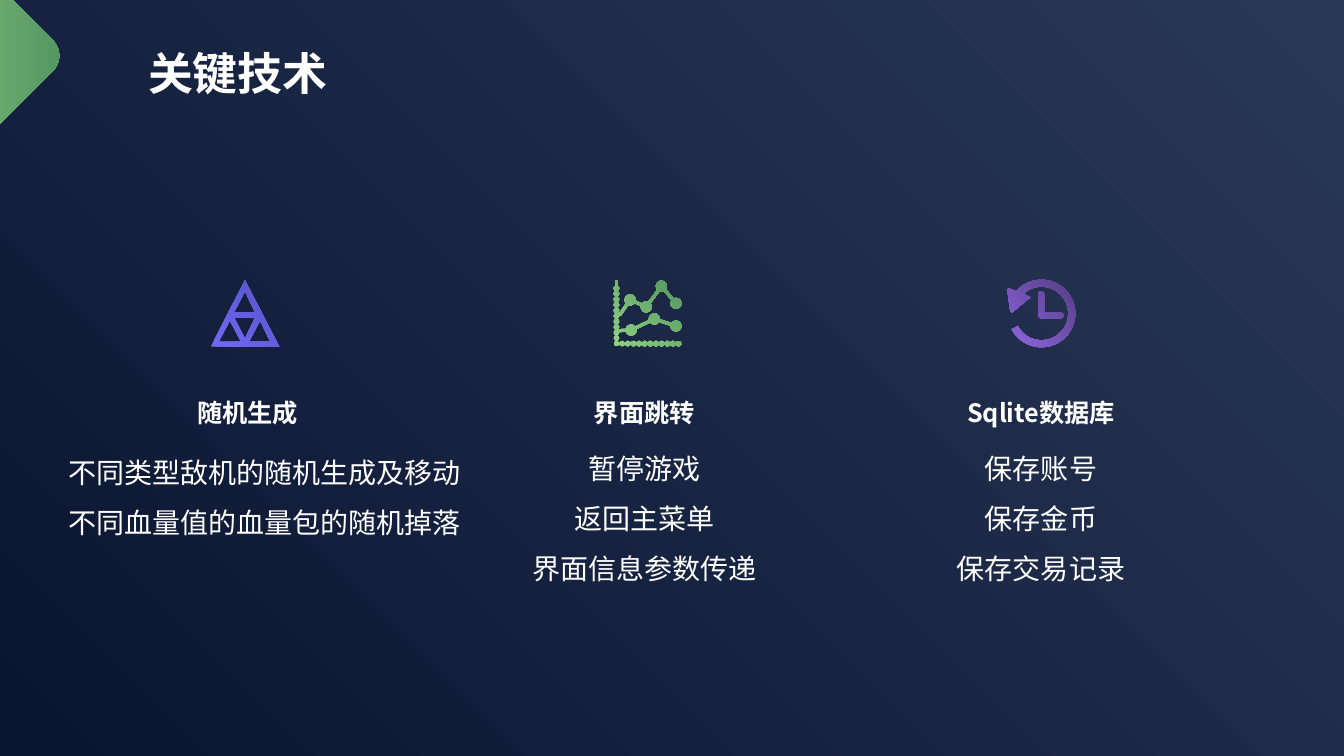
from math import asin, atan2, cos, pi, radians, sin

from lxml import etree
from pptx import Presentation
from pptx import util as u
from pptx.dml.color import RGBColor
from pptx.enum import shapes, text
from pptx.oxml import ns

COLUMNS, ROWS = 1333, 750
CELL = u.Inches(0.01)
FONT = "Noto Sans CJK SC"
WHITE = RGBColor(0xFF, 0xFF, 0xFF)
NIGHT = RGBColor(0x0A, 0x15, 0x30), RGBColor(0x2A, 0x38, 0x58)
GREEN = RGBColor(0x91, 0xD1, 0x83), RGBColor(0x52, 0x95, 0x61)
INDIGO = RGBColor(0x72, 0x6A, 0xF6), RGBColor(0x57, 0x51, 0xC2)
PURPLE = RGBColor(0x8F, 0x66, 0xE0), RGBColor(0x55, 0x3D, 0x83)


def arc(center, radius, start, end, steps=12):
    """Points on a circle, from one angle in radians to another."""
    angles = [start + (end - start) * i / steps for i in range(steps + 1)]
    return [(center[0] + radius * cos(a), center[1] + radius * sin(a)) for a in angles]


def beaded_line(start, beads, radius, half_width):
    """Outline of a thick line from a round cap through a row of round beads."""
    nodes = [start, *beads]
    last = len(beads)
    walk = [*range(last + 1), *range(last - 1, 0, -1)]
    outline = []
    for i, node in enumerate(walk):
        x, y = nodes[node]
        before, after = (nodes[walk[(i + step) % len(walk)]] for step in (-1, 1))
        size = radius if node else half_width
        gap = asin(half_width / size)
        begin = atan2(before[1] - y, before[0] - x) + gap
        sweep = (atan2(after[1] - y, after[0] - x) - gap - begin) % (2 * pi)
        outline += arc((x, y), size, begin, begin + sweep)
    return outline


def triangle_icon():
    return [
        [(34, 0), (0, 66), (68, 66)],
        [(34, 11), (44, 32), (23, 32)],
        [(23, 37), (44, 37), (34, 58)],
        [(8, 61), (19, 40), (30, 61)],
        [(49, 40), (59, 61), (38, 61)],
    ]


def chart_icon():
    up = [(3.4, 63 - 5.5 * i) for i in range(10, -1, -1)]
    right = [(3.4 + 5.6 * i, 63) for i in range(1, 12)]
    return [
        beaded_line((3.4, 1.5), up + right, 2.7, 1.3),
        beaded_line((7, 34), [(17, 19.5), (33, 26.5), (48, 6), (62.5, 23)], 5.5, 1.5),
        beaded_line((7, 50), [(18, 49.5), (41, 38.5), (62.5, 45.5)], 5.5, 1.5),
    ]


def history_icon():
    center = (34, 33)
    tail = radians(512)
    arrow = [(23, 17), (5, 32), (3, 31), (0, 9), (2, 8)]
    ring = arc(center, 33.5, radians(221), tail, 48)
    ring += arc(center, 26.5, tail, radians(228), 48) + arrow
    hands = [(31, 13), (33, 11), (35, 11), (37, 13), (37, 32), (54, 32),
             (56, 34), (56, 36), (54, 38), (33, 38), (31, 36)]
    return [ring, hands]


class Deck:
    """Slide style; every length is in cells of the grid."""

    def __init__(self):
        self.deck = Presentation()
        self.deck.slide_width = COLUMNS * CELL
        self.deck.slide_height = ROWS * CELL
        self.items = self.deck.slides.add_slide(self.deck.slide_layouts[6]).shapes

    def paint(self, shape, colors):
        shape.shadow.inherit = False
        shape.line.fill.background()
        shape.fill.gradient()
        shape.fill.gradient_angle = 45
        for stop, color in zip(shape.fill.gradient_stops, colors):
            stop.color.rgb = color

    def block(self, kind, box, colors):
        shape = self.items.add_shape(kind, *(n * CELL for n in box))
        self.paint(shape, colors)
        return shape

    def icon(self, left, top, contours, colors):
        placed = [[((left + x) * CELL, (top + y) * CELL) for x, y in contour]
                  for contour in contours]
        pen = self.items.build_freeform(*placed[0][0])
        for i, (first, *rest) in enumerate(placed):
            if i:
                pen.move_to(*first)
            pen.add_line_segments(rest, close=True)
        self.paint(pen.convert_to_shape(), colors)

    def words(self, box, lines, size, bold=False, wrap=True, spacing=None,
              align=text.PP_ALIGN.CENTER):
        frame = self.items.add_textbox(*(n * CELL for n in box)).text_frame
        frame.word_wrap = wrap
        frame.auto_size = text.MSO_AUTO_SIZE.SHAPE_TO_FIT_TEXT
        for i, line in enumerate(lines):
            paragraph = frame.add_paragraph() if i else frame.paragraphs[0]
            paragraph.alignment = align
            paragraph.line_spacing = spacing
            run = paragraph.add_run()
            run.text = line
            run.font.size = u.Pt(size)
            run.font.bold = bold
            run.font.name = FONT
            run.font.color.rgb = WHITE
            etree.SubElement(run.font._element, ns.qn("a:ea"), typeface=FONT)


def main():
    slide = Deck()
    slide.block(shapes.MSO_SHAPE.RECTANGLE, (0, 0, COLUMNS, ROWS), NIGHT)
    corner = slide.block(shapes.MSO_SHAPE.ROUNDED_RECTANGLE, (-109, -18, 154, 128), GREEN)
    corner.rotation = 45
    corner.adjustments[0] = 0.17
    slide.words((137, 40, 200, 64), ["关键技术"], 32, bold=True, wrap=False,
                align=text.PP_ALIGN.LEFT)

    techniques = [
        ("随机生成", ["不同类型敌机的随机生成及移动", "不同血量值的血量包的随机掉落"],
         (53, 430, 419, 103), triangle_icon(), 209, INDIGO),
        ("界面跳转", ["暂停游戏", "返回主菜单", "界面信息参数传递"],
         (482, 426, 315, 154), chart_icon(), 608, GREEN),
        ("Sqlite数据库", ["保存账号", "保存金币", "保存交易记录"],
         (875, 426, 315, 154), history_icon(), 999, PURPLE),
    ]
    for i, (heading, details, area, contours, left, colors) in enumerate(techniques):
        slide.icon(left, 278, contours, colors)
        slide.words((88 + 393.5 * i, 389, 315, 40), [heading], 18, bold=True)
        slide.words(area, details, 20, spacing=1.5)
    slide.deck.save("out.pptx")


if __name__ == "__main__":
    main()
